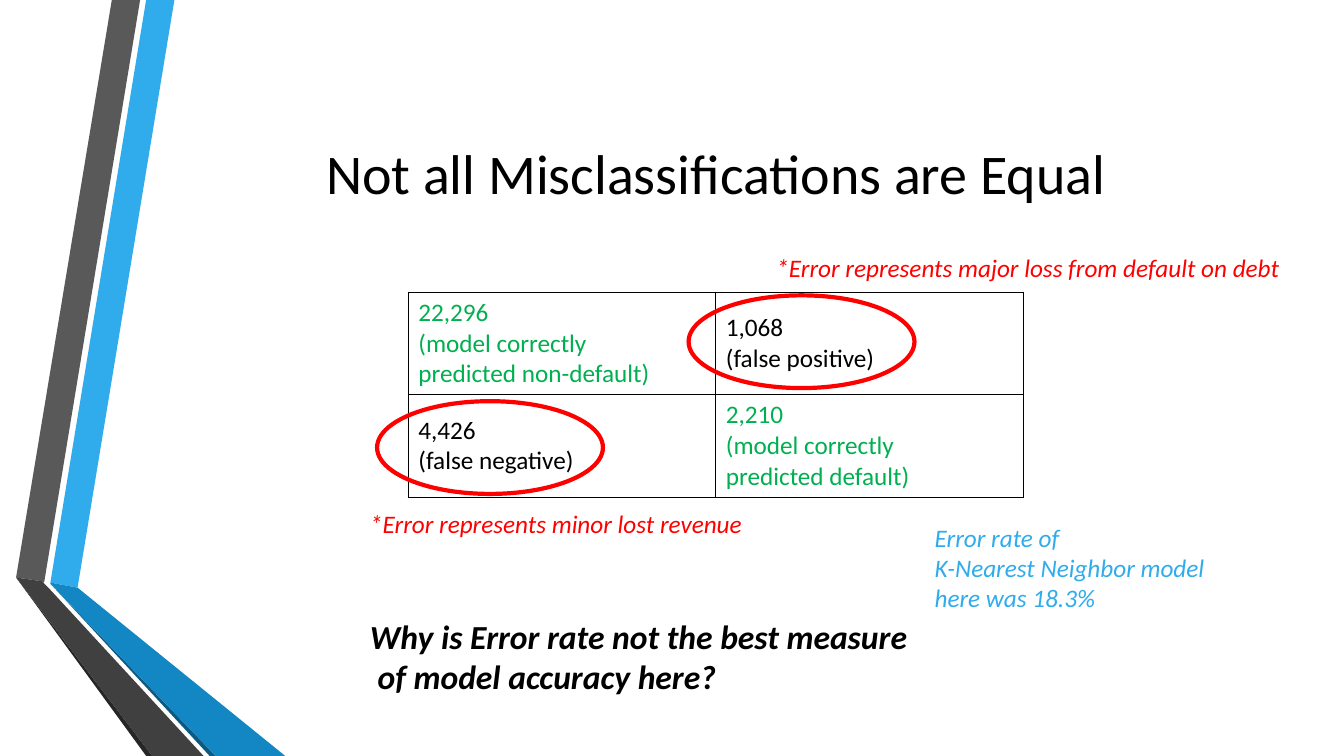
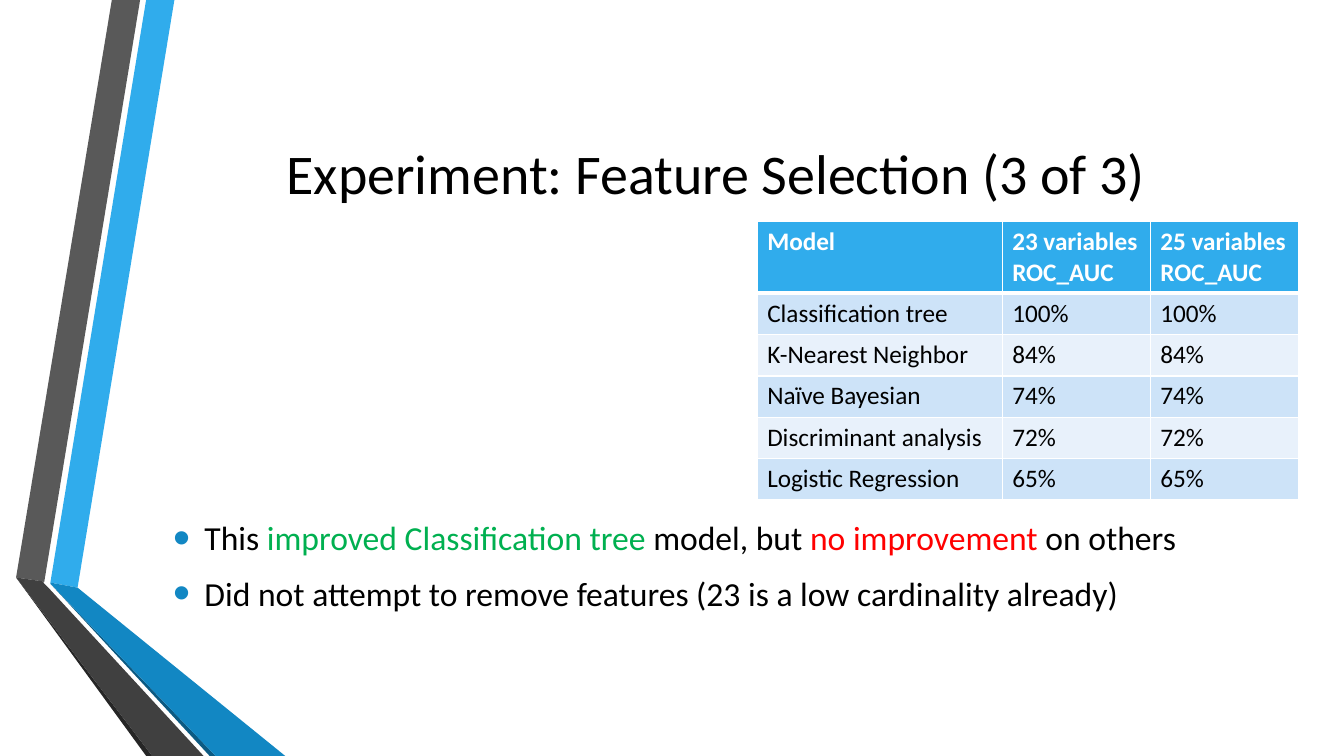
"""Two slides on misclassification costs and feature selection."""
from collections import namedtuple

from lxml import etree
from pptx import Presentation
from pptx import util as u
from pptx.dml.color import RGBColor
from pptx.enum import shapes, text
from pptx.oxml import ns

PX = 9144
Box = namedtuple("Box", "x y w h")


class Theme:
    """Colours, font and type sizes shared by the slides."""
    font = "Calibri"
    title, lead, body = 40, 24, 18
    black, white = "000000", "FFFFFF"
    blue, deep_blue, navy = "30ACEC", "1287C3", "0C5A82"
    grey, dark_grey, charcoal = "595959", "404040", "262626"
    red, green = "FF0000", "00B050"
    bands = "CDE3F8", "E8F1FB"


RIBBONS = (
    (Theme.blue, ((50, 578), (77, 583), (173, 0), (145, 0))),
    (Theme.grey, ((139, 0), (111, 0), (16, 573), (44, 577))),
    (Theme.charcoal, ((16, 573), (145, 750), (151, 750))),
    (Theme.navy, ((50, 579), (208, 750), (214, 750))),
    (Theme.deep_blue, ((50, 578), (50, 579), (214, 750), (283, 750), (77, 583))),
    (Theme.dark_grey, ((202, 750), (48, 583), (43, 578), (44, 577), (16, 573), (151, 750))),
)


def emu(box):
    """Turn a box in px into EMU lengths."""
    return [u.Emu(length * PX) for length in box]


def within(box, dx, dy, w, h):
    """Return a box placed relative to the corner of another."""
    return Box(box.x + dx, box.y + dy, w, h)


def style(font, size, colour, bold=False, italic=False):
    """Apply the theme font with a size, colour and emphasis."""
    font.name, font.size = Theme.font, u.Pt(size)
    font.bold, font.italic = bold, italic
    font.color.rgb = RGBColor.from_string(colour)


def add_ribbons(slide, layout):
    """Draw the folded ribbons and move them onto the layout."""
    for number, (colour, outline) in enumerate(RIBBONS):
        builder = slide.shapes.build_freeform(*outline[0], scale=PX)
        builder.add_line_segments(outline[1:], close=True)
        ribbon = builder.convert_to_shape()
        ribbon.shadow.inherit = False
        ribbon.fill.solid()
        ribbon.fill.fore_color.rgb = RGBColor.from_string(colour)
        ribbon.line.fill.background()
        ribbon.element.xpath(".//p:cNvPr")[0].set("id", str(100 + number))
        layout.shapes.element.append(ribbon.element)


def add_title(slide, heading, box=Box(162, 75, 1096, 192)):
    """Place and format the slide title."""
    title = slide.shapes.title
    title.left, title.top, title.width, title.height = emu(box)
    title.text = heading
    title.text_frame.vertical_anchor = text.MSO_ANCHOR.MIDDLE
    paragraph = title.text_frame.paragraphs[0]
    paragraph.alignment = text.PP_ALIGN.CENTER
    style(paragraph.font, Theme.title, Theme.black)


def add_note(slide, box, words, colour, size=Theme.body, bold=False):
    """Add an indented italic remark."""
    frame = slide.shapes.add_textbox(*emu(box)).text_frame
    frame.word_wrap = True
    frame.margin_left = u.Emu(60 * PX)
    frame.text = words
    for paragraph in frame.paragraphs:
        style(paragraph.font, size, colour, bold, italic=True)


def add_ring(slide, box):
    """Circle an error count in red."""
    ring = slide.shapes.add_shape(shapes.MSO_SHAPE.OVAL, *emu(box))
    ring.shadow.inherit = False
    ring.fill.background()
    ring.line.color.rgb = RGBColor.from_string(Theme.red)
    ring.line.width = u.Pt(3)


def set_borders(cell, colour, top=1, bottom=1):
    """Give a cell solid borders with widths in points."""
    properties = cell._tc.get_or_add_tcPr()
    for side, width in zip("LRTB", (1, 1, top, bottom)):
        line = etree.SubElement(properties, ns.qn(f"a:ln{side}"), w=str(u.Pt(width)))
        fill = etree.SubElement(line, ns.qn("a:solidFill"))
        etree.SubElement(fill, ns.qn("a:srgbClr"), val=colour)


def add_grid(slide, box, rows, widths, heights):
    """Add a table with the given texts, column widths and row heights."""
    table = slide.shapes.add_table(len(rows), len(widths), *emu(box)).table
    table.horz_banding = False
    for column, width in zip(table.columns, widths):
        column.width = u.Emu(width * PX)
    for row, height, words in zip(table.rows, heights, rows):
        row.height = u.Emu(height * PX)
        for cell, entry in zip(row.cells, words):
            cell.text = entry
    return table


def add_confusion_matrix(slide, box):
    """Add the two-by-two outcome table with both errors circled."""
    outcomes = (
        ("22,296\n(model correctly\npredicted non-default)", "1,068\n(false positive)"),
        ("4,426\n(false negative)", "2,210\n(model correctly\npredicted default)"),
    )
    table = add_grid(slide, box, outcomes, [box.w // 2] * 2, [box.h // 2] * 2)
    table.first_row = False
    for r, row in enumerate(table.rows):
        for c, cell in enumerate(row.cells):
            set_borders(cell, Theme.black)
            cell.fill.background()
            cell.vertical_anchor = text.MSO_ANCHOR.MIDDLE
            for paragraph in cell.text_frame.paragraphs:
                style(paragraph.font, Theme.body, Theme.green if r == c else Theme.black)
    for dx, dy in ((278, 3), (-31, 108)):
        add_ring(slide, within(box, dx, dy, 224, 92))


def add_scores(slide, box):
    """Add the table of model scores."""
    scores = (
        ("Classification tree", "100%"),
        ("K-Nearest Neighbor", "84%"),
        ("Naïve Bayesian", "74%"),
        ("Discriminant analysis", "72%"),
        ("Logistic Regression", "65%"),
    )
    rows = [("Model", "23 variables\nROC_AUC", "25 variables\nROC_AUC")]
    rows += [(model, score, score) for model, score in scores]
    heights = [71] + [41] * len(scores)
    table = add_grid(slide, box, rows, (box.w - 2 * 147, 147, 147), heights)
    for r, row in enumerate(table.rows):
        header = r == 0
        fill = Theme.blue if header else Theme.bands[(r - 1) % 2]
        for cell in row.cells:
            set_borders(cell, Theme.white, 3 if r == 1 else 1, 3 if header else 1)
            cell.fill.solid()
            cell.fill.fore_color.rgb = RGBColor.from_string(fill)
            for paragraph in cell.text_frame.paragraphs:
                style(paragraph.font, Theme.body, Theme.white if header else Theme.black, header)


def set_bullet(paragraph):
    """Hang a large blue bullet before a paragraph."""
    properties = paragraph._p.get_or_add_pPr()
    properties.set("marL", str(31 * PX))
    properties.set("indent", str(-31 * PX))
    colour = etree.SubElement(properties, ns.qn("a:buClr"))
    etree.SubElement(colour, ns.qn("a:srgbClr"), val=Theme.deep_blue)
    etree.SubElement(properties, ns.qn("a:buSzPct"), val="145000")
    etree.SubElement(properties, ns.qn("a:buFont"), typeface="Arial")
    etree.SubElement(properties, ns.qn("a:buChar"), char="•")


def add_findings(slide, box):
    """Add the bulleted findings with coloured key phrases."""
    findings = (
        (("This ", Theme.black), ("improved Classification tree ", Theme.green),
         ("model, but ", Theme.black), ("no improvement", Theme.red),
         (" on others", Theme.black)),
        (("Did not attempt to remove features (23 is a low cardinality already)", Theme.black),),
    )
    frame = slide.shapes.add_textbox(*emu(box)).text_frame
    frame.word_wrap = True
    for number, phrases in enumerate(findings):
        paragraph = frame.add_paragraph() if number else frame.paragraphs[0]
        paragraph.space_after = u.Pt(10.8)
        set_bullet(paragraph)
        for words, colour in phrases:
            run = paragraph.add_run()
            run.text = words
            style(run.font, Theme.lead, colour)


def build_errors_slide(slide):
    """Fill the slide on unequal misclassifications."""
    add_title(slide, "Not all Misclassifications are Equal")
    matrix = Box(405, 290, 610, 202)
    add_confusion_matrix(slide, matrix)
    add_note(slide, within(matrix, 305, -45, 623, 40),
             "*Error represents major loss from default on debt", Theme.red)
    add_note(slide, within(matrix, -98, 209, 623, 40),
             "*Error represents minor lost revenue", Theme.red)
    add_note(slide, within(matrix, 462, 223, 362, 101),
             "Error rate of\nK-Nearest Neighbor model\nhere was 18.3%", Theme.blue)
    add_note(slide, within(matrix, -98, 316, 806, 91),
             "Why is Error rate not the best measure\n of model accuracy here?",
             Theme.black, Theme.lead, bold=True)


def build_features_slide(slide):
    """Fill the slide on feature selection."""
    add_title(slide, "Experiment: Feature Selection (3 of 3)")
    add_findings(slide, Box(162, 508, 1096, 110))
    add_scores(slide, Box(751, 220, 537, 276))


def main():
    """Build and save the presentation."""
    deck = Presentation()
    deck.slide_width, deck.slide_height = u.Inches(13.33), u.Inches(7.5)
    layout = deck.slide_layouts.get_by_name("Title Only")
    errors, features = (deck.slides.add_slide(layout) for _ in range(2))
    add_ribbons(errors, layout)
    build_errors_slide(errors)
    build_features_slide(features)
    deck.save("out.pptx")


if __name__ == "__main__":
    main()
